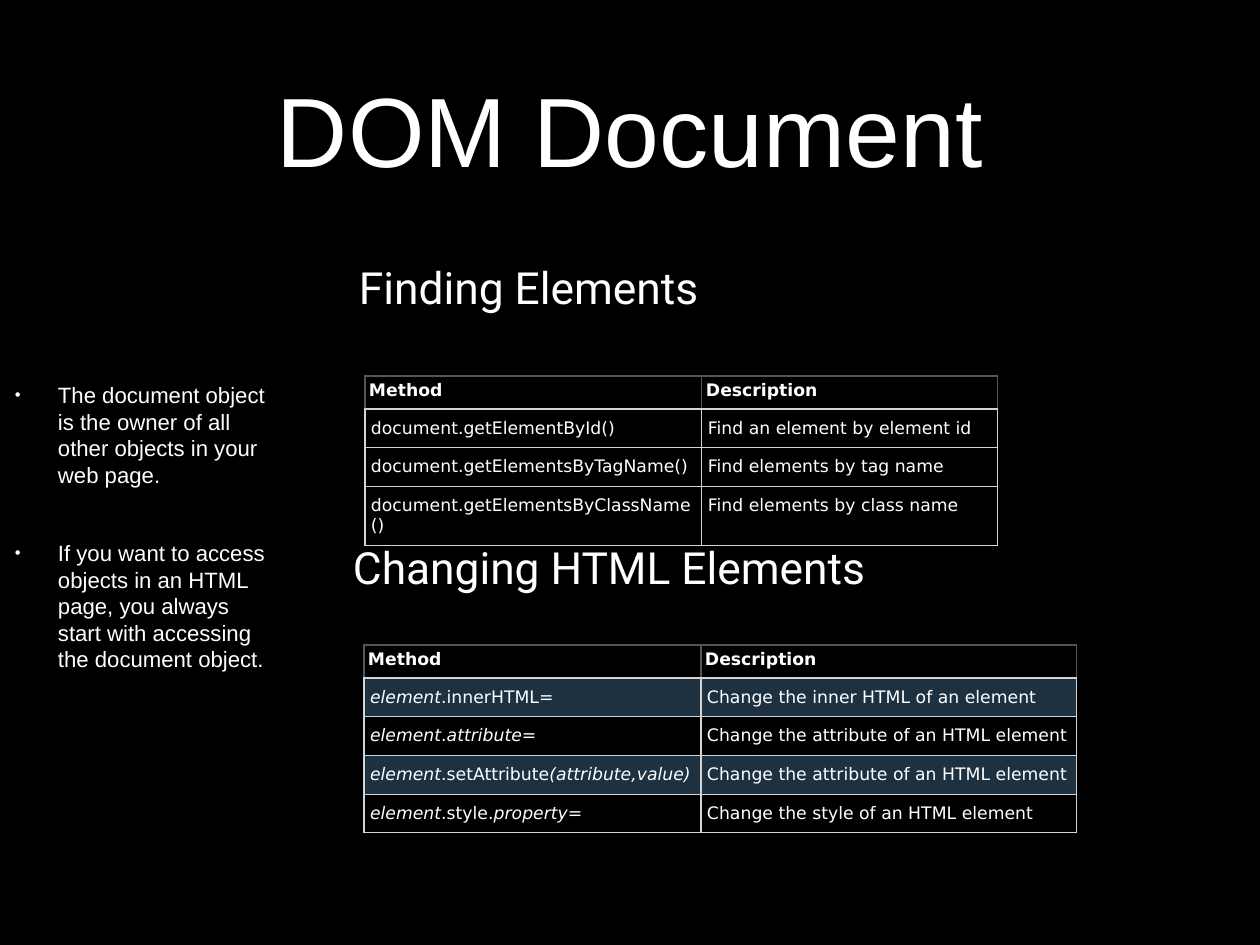
from lxml import etree
from pptx import Presentation
from pptx import util as u
from pptx.dml.color import RGBColor
from pptx.enum import text
from pptx.oxml import parse_xml
from pptx.oxml.ns import nsdecls, qn

PX = 10320
COLORS = {"page": "000000", "text": "FFFFFF", "grid": "D4D4D4",
          "head_grid": "555555", "band": "73C0FC"}
BAND_ALPHA = 26000
HEAD_ROW, BODY_ROW = 33, 38

POINTS = [
    "The document object is the owner of all other objects in your web page.",
    "If you want to access objects in an HTML page, you always start with "
    "accessing the document object.",
]
HEADER = ("Method", "Description")
# Text between asterisks is italic.
FINDING = [
    HEADER,
    ("document.getElementById()", "Find an element by element id"),
    ("document.getElementsByTagName()", "Find elements by tag name"),
    ("document.getElementsByClassName()", "Find elements by class name"),
]
CHANGING = [
    HEADER,
    ("*element*.innerHTML=", "Change the inner HTML of an element"),
    ("*element*.*attribute=*", "Change the attribute of an HTML element"),
    ("*element*.setAttribute*(attribute,value)*",
     "Change the attribute of an HTML element"),
    ("*element*.style.*property=*", "Change the style of an HTML element"),
]


def px(length):
    return u.Emu(length * PX)


def rgb(name):
    return RGBColor.from_string(COLORS[name])


def style_run(run, font, size, bold=False, italic=False):
    run.font.name, run.font.size = font, u.Pt(size)
    run.font.bold, run.font.italic = bold, italic
    run.font.color.rgb = rgb("text")


def add_text(slide, box, words, font, size, align):
    """Add a vertically centred text box without insets."""
    frame = slide.shapes.add_textbox(*map(px, box)).text_frame
    frame.word_wrap = True
    frame.vertical_anchor = text.MSO_ANCHOR.MIDDLE
    frame.margin_left = frame.margin_right = 0
    frame.margin_top = frame.margin_bottom = 0
    frame.text = words
    for paragraph in frame.paragraphs:
        paragraph.alignment = align
        for run in paragraph.runs:
            style_run(run, font, size)
    return frame


def add_points(slide, box):
    indent = px(43)
    frame = add_text(slide, box, "\n".join(POINTS), "Arial", 18,
                     text.PP_ALIGN.LEFT)
    for paragraph in frame.paragraphs:
        paragraph.space_before = u.Pt(42)
        props = paragraph._p.get_or_add_pPr()
        props.set("marL", str(indent))
        props.set("indent", str(-indent))
        bullet_color = etree.SubElement(props, qn("a:buClr"))
        etree.SubElement(bullet_color, qn("a:srgbClr"), val=COLORS["text"])
        etree.SubElement(props, qn("a:buSzPct"), val="75000")
        etree.SubElement(props, qn("a:buFont"), typeface="Arial")
        etree.SubElement(props, qn("a:buChar"), char="•")


def set_borders(cell, is_header):
    props = cell._tc.get_or_add_tcPr()
    for place, side in enumerate("LRTB"):
        color = COLORS["head_grid" if is_header and side != "B" else "grid"]
        props.insert(place, parse_xml(
            f'<a:ln{side} {nsdecls("a")} w="12700"><a:solidFill>'
            f'<a:srgbClr val="{color}"/></a:solidFill></a:ln{side}>'))


def set_fill(cell, banded):
    if not banded:
        cell.fill.background()
        return
    cell.fill.solid()
    cell.fill.fore_color.rgb = rgb("band")
    color = cell._tc.tcPr.find(".//" + qn("a:solidFill") + "/" + qn("a:srgbClr"))
    etree.SubElement(color, qn("a:alpha"), val=str(BAND_ALPHA))


def fill_cell(cell, words, is_header, banded):
    side, top = (4, 4) if is_header else (6, 9)
    cell.margin_left = cell.margin_right = px(side)
    cell.margin_top = cell.margin_bottom = px(top)
    paragraph = cell.text_frame.paragraphs[0]
    for position, part in enumerate(words.split("*")):
        if part:
            run = paragraph.add_run()
            run.text = part
            style_run(run, "DejaVu Sans", 14, is_header, position % 2 == 1)
    set_fill(cell, banded)
    set_borders(cell, is_header)


def add_methods(slide, left, top, widths, rows, banded=False):
    heights = [HEAD_ROW] + [BODY_ROW] * (len(rows) - 1)
    table = slide.shapes.add_table(
        len(rows), len(widths), px(left), px(top),
        px(sum(widths)), px(sum(heights))).table
    table.first_row = table.horz_banding = False
    for column, width in zip(table.columns, widths):
        column.width = px(width)
    for index, (row, height) in enumerate(zip(rows, heights)):
        table.rows[index].height = px(height)
        for column, words in enumerate(row):
            fill_cell(table.cell(index, column), words, index == 0,
                      banded and index % 2 == 1)


def add_section(slide, box, heading, table_left, table_top, widths, rows, banded=False):
    """Add a heading and its table, offset from the heading's corner."""
    left, top = box[:2]
    add_text(slide, box, heading, "Roboto", 36, text.PP_ALIGN.LEFT)
    add_methods(slide, left + table_left, top + table_top, widths, rows, banded)


def main():
    deck = Presentation()
    deck.slide_width, deck.slide_height = px(1260), px(945)
    slide = deck.slides.add_slide(deck.slide_layouts[6])
    slide.background.fill.solid()
    slide.background.fill.fore_color.rgb = rgb("page")

    add_text(slide, (92, 20, 1076, 217), "DOM Document", "Arial", 80,
             text.PP_ALIGN.CENTER)
    add_points(slide, (15, 209, 255, 636))
    add_section(slide, (359, 252, 356, 70), "Finding Elements",
                6, 124, (337, 296), FINDING)
    add_section(slide, (353, 532, 532, 70), "Changing HTML Elements",
                11, 113, (337, 376), CHANGING, banded=True)
    deck.save("out.pptx")


if __name__ == "__main__":
    main()
